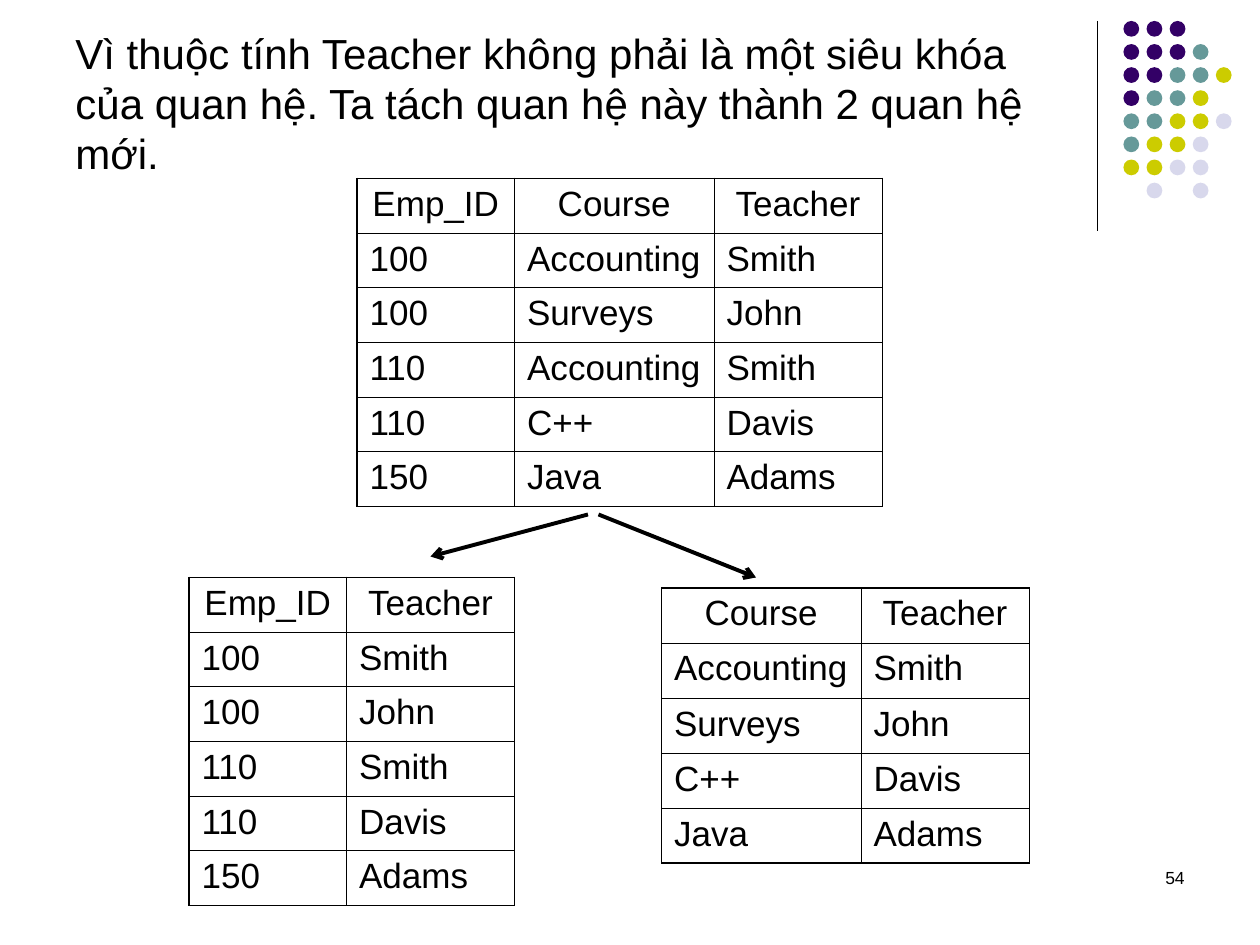
from lxml.etree import SubElement
from pptx import Presentation
from pptx.dml.color import RGBColor
from pptx.enum.shapes import MSO_CONNECTOR as Connector, MSO_SHAPE as Shape
from pptx.enum.text import MSO_ANCHOR as Anchor, PP_ALIGN as Align
from pptx.oxml.ns import qn
from pptx.util import Inches, Pt

COLORS = {
    "ink": "000000",
    "violet": "330066",
    "teal": "669999",
    "olive": "CCCC00",
    "lilac": "D8D8EC",
}
FONT = "Arial"
COLUMNS, ROWS = 120, 90  # grid of twelfths of an inch
THIN, THICK = 0.45, 1.08
COLUMN_WIDTHS = {"Emp_ID": 15, "Course": 19, "Teacher": 16}
COURSES_TAUGHT = [
    ("100", "Accounting", "Smith"),
    ("100", "Surveys", "John"),
    ("110", "Accounting", "Smith"),
    ("110", "C++", "Davis"),
    ("150", "Java", "Adams"),
]
DOT_ROWS = ["vvv", "vvvt", "vvtto", "vtto", "ttool", "tool", "ooll", " l l"]
DOT_COLORS = {"v": "violet", "t": "teal", "o": "olive", "l": "lilac"}
DOT_PITCH, DOT_SIZE = 2.2, 1.5


def grid(units):
    return Inches(units / 12)


def rgb(name):
    return RGBColor.from_string(COLORS[name])


def write(frame, text, size, align=Align.LEFT, space_before=0, color="ink"):
    frame.word_wrap = True
    paragraph = frame.paragraphs[0]
    paragraph.alignment = align
    paragraph.space_before = Pt(space_before)
    run = paragraph.add_run()
    run.text = text
    run.font.size = Pt(size)
    run.font.name = FONT
    run.font.color.rgb = rgb(color)


def add_text(slide, box, text, size, **style):
    frame = slide.shapes.add_textbox(*map(grid, box)).text_frame
    frame.vertical_anchor = Anchor.TOP
    write(frame, text, size, **style)


def add_line(slide, start, end, width, arrow=False):
    line = slide.shapes.add_connector(
        Connector.STRAIGHT, *map(grid, (*start, *end)))
    line.line.color.rgb = rgb("ink")
    line.line.width = Pt(width)
    properties = line.line._get_or_add_ln()
    if arrow:
        SubElement(properties, qn("a:tailEnd"), type="arrow")
    SubElement(line._element.spPr, qn("a:effectLst"))


def add_dots(slide, left, top):
    for row, pattern in enumerate(DOT_ROWS):
        for column, key in enumerate(pattern):
            if key == " ":
                continue
            dot = slide.shapes.add_shape(
                Shape.OVAL, grid(left + column * DOT_PITCH),
                grid(top + row * DOT_PITCH), grid(DOT_SIZE), grid(DOT_SIZE))
            dot.shadow.inherit = False
            dot.fill.solid()
            dot.fill.fore_color.rgb = rgb(DOT_COLORS[key])
            dot.line.fill.background()


def set_borders(cell, **widths):
    """Draw the cell's sides, given as L, R, T and B in points."""
    properties = cell._tc.get_or_add_tcPr()
    for side, width in widths.items():
        border = SubElement(properties, qn(f"a:ln{side}"), w=str(Pt(width)))
        fill = SubElement(border, qn("a:solidFill"))
        SubElement(fill, qn("a:srgbClr"), val=COLORS["ink"])


def project(*names):
    """Return the header and the distinct rows for the named columns."""
    picks = [list(COLUMN_WIDTHS).index(name) for name in names]
    records = (tuple(record[i] for i in picks) for record in COURSES_TAUGHT)
    return [names, *dict.fromkeys(records)]


def add_relation(slide, left, top, records, row_height=5.2, left_border=THICK):
    widths = [COLUMN_WIDTHS[name] for name in records[0]]
    table = slide.shapes.add_table(
        len(records), len(widths), grid(left), grid(top),
        grid(sum(widths)), grid(row_height * len(records))).table
    table.first_row = table.horz_banding = False
    for column, width in zip(table.columns, widths):
        column.width = grid(width)
    last = len(records) - 1
    for i, record in enumerate(records):
        table.rows[i].height = grid(row_height)
        for j, value in enumerate(record):
            cell = table.cell(i, j)
            set_borders(cell, L=THIN if j else left_border, R=THIN,
                        T=THIN if i else THICK,
                        B=THICK if i == last else THIN)
            cell.fill.background()
            write(cell.text_frame, value, 20, space_before=5,
                  align=Align.LEFT if i else Align.CENTER)


def main():
    deck = Presentation()
    deck.slide_width, deck.slide_height = grid(COLUMNS), grid(ROWS)
    slide = deck.slides.add_slide(deck.slide_layouts[6])

    add_line(slide, (104.5, 2), (104.5, 22), 0.75)
    add_dots(slide, 107, 2)
    add_text(slide, (86, 82, 28, 6), "54", 10, align=Align.RIGHT)
    add_text(slide, (6, 2, 98, 15.6),
             "Vì thuộc tính Teacher không phải là một siêu khóa của quan hệ. "
             "Ta tách quan hệ này thành 2 quan hệ mới.", 24)

    add_relation(slide, 34, 17, project("Emp_ID", "Course", "Teacher"))
    add_relation(slide, 18, 55, project("Emp_ID", "Teacher"))
    add_relation(slide, 63, 56, project("Course", "Teacher"),
                 row_height=5.24, left_border=THIN)
    add_line(slide, (56, 49), (41, 53), 2.25, arrow=True)
    add_line(slide, (57, 49), (72, 55), 2.25, arrow=True)

    deck.save("out.pptx")


if __name__ == "__main__":
    main()
